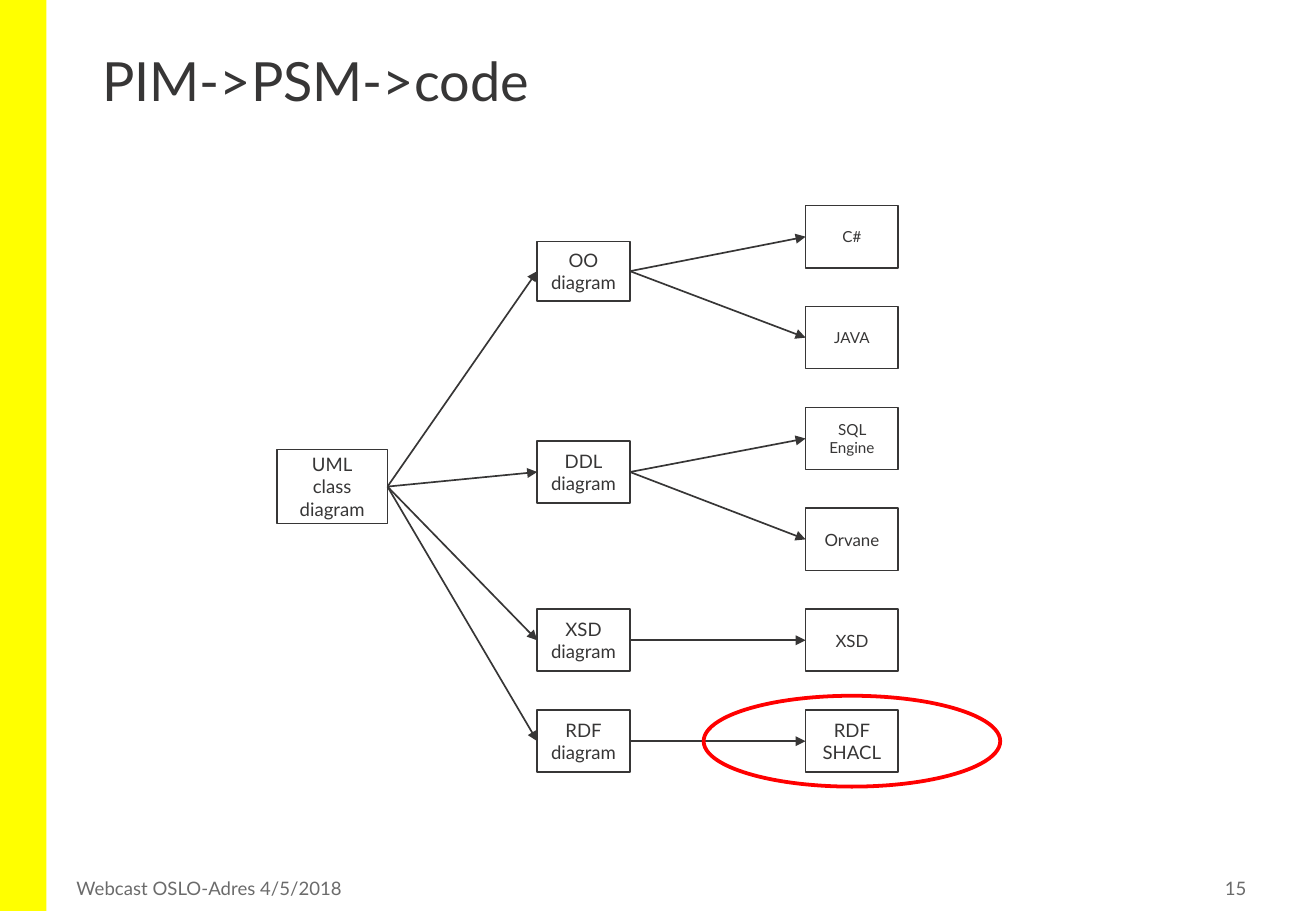
from dataclasses import dataclass

from lxml.etree import SubElement
from pptx import Presentation
from pptx.dml.color import RGBColor
from pptx.enum.shapes import MSO_CONNECTOR as Line, MSO_SHAPE as Shape
from pptx.enum.text import MSO_ANCHOR as Anchor, MSO_AUTO_SIZE as AutoSize, PP_ALIGN as Align
from pptx.oxml.ns import qn
from pptx.util import Cm, Pt


@dataclass(frozen=True)
class Theme:
    font: str = "Lato"
    ink: RGBColor = RGBColor(0x37, 0x36, 0x36)
    muted: RGBColor = RGBColor(0x6B, 0x6B, 0x6B)
    band: RGBColor = RGBColor(0xFF, 0xFF, 0x00)
    accent: RGBColor = RGBColor(0xFF, 0x00, 0x00)
    title: float = 32
    body: float = 11
    medium: float = 10
    small: float = 9
    outline: float = 1
    ring: float = 2.25


@dataclass(frozen=True)
class Node:
    text: str
    left: float
    top: float
    size: float
    width: float = 1.94
    height: float = 1.3
    parent: str = ""


THEME = Theme()
MODEL_X, CODE_X = 11.23, 16.84
TOP, PITCH = 4.3, 2.11


def row(index: int) -> float:
    return TOP + index * PITCH


# Diagram: nodes by key, each with its parent
NODES = {
    "uml": Node("UML\nclass diagram", 5.79, 9.4, THEME.body, 2.31, 1.55),
    "oo": Node("OO\ndiagram", MODEL_X, 5.05, THEME.body, height=1.24, parent="uml"),
    "ddl": Node("DDL\ndiagram", MODEL_X, 9.22, THEME.body, parent="uml"),
    "xsd": Node("XSD\ndiagram", MODEL_X, row(4), THEME.body, parent="uml"),
    "rdf": Node("RDF\ndiagram", MODEL_X, row(5), THEME.body, parent="uml"),
    "csharp": Node("C#", CODE_X, row(0), THEME.small, parent="oo"),
    "java": Node("JAVA", CODE_X, row(1), THEME.small, parent="oo"),
    "sql": Node("SQL Engine", CODE_X, row(2), THEME.small, parent="ddl"),
    "database": Node("Orvane", CODE_X, row(3), THEME.medium, parent="ddl"),
    "schema": Node("XSD", CODE_X, row(4), THEME.medium, parent="xsd"),
    "shacl": Node("RDF\nSHACL", CODE_X, row(5), THEME.body, parent="rdf"),
}


def write(tf, text: str, size: float, color: RGBColor, align: Align, anchor: Anchor) -> None:
    tf.text = text
    tf.word_wrap = True
    tf.auto_size = AutoSize.NONE
    tf.vertical_anchor = anchor
    for p in tf.paragraphs:
        p.alignment = align
        p.font.name = THEME.font
        p.font.size = Pt(size)
        p.font.color.rgb = color


def add_plain(s, kind: Shape, left: float, top: float, width: float, height: float):
    sp = s.shapes.add_shape(kind, Cm(left), Cm(top), Cm(width), Cm(height))
    sp.shadow.inherit = False
    sp.fill.background()
    return sp


def add_node(s, node: Node):
    sp = add_plain(s, Shape.RECTANGLE, node.left, node.top, node.width, node.height)
    sp.line.color.rgb = THEME.ink
    sp.line.width = Pt(THEME.outline)
    write(sp.text_frame, node.text, node.size, THEME.ink, Align.CENTER, Anchor.MIDDLE)
    return sp


def add_arrow(s, start, end) -> None:
    c = s.shapes.add_connector(Line.STRAIGHT, 0, 0, 0, 0)
    c.begin_connect(start, 3)
    c.end_connect(end, 1)
    c.line.color.rgb = THEME.ink
    c.line.width = Pt(THEME.outline)
    SubElement(c.line._get_or_add_ln(), qn("a:tailEnd"), type="triangle")
    SubElement(c._element.spPr, qn("a:effectLst"))


def add_label(s, text: str, left: float, top: float, width: float, height: float,
              align: Align, inset: float) -> None:
    tf = s.shapes.add_textbox(Cm(left), Cm(top), Cm(width), Cm(height)).text_frame
    tf.margin_left = tf.margin_right = Cm(inset)
    tf.margin_top = tf.margin_bottom = Cm(0.13)
    write(tf, text, THEME.body, THEME.muted, align, Anchor.MIDDLE)


def main() -> None:
    prs = Presentation()
    prs.slide_width, prs.slide_height = Cm(27.51), Cm(19.05)
    s = prs.slides.add_slide(prs.slide_layouts[5])

    # Side band
    band = add_plain(s, Shape.RECTANGLE, 0, 0, 0.97, 19.05)
    band.fill.solid()
    band.fill.fore_color.rgb = THEME.band
    band.line.fill.background()

    # Title
    title = s.shapes.title
    title.left, title.top, title.width, title.height = Cm(1.88), Cm(1.02), Cm(23.72), Cm(2.74)
    write(title.text_frame, "PIM->PSM->code", THEME.title, THEME.ink, Align.LEFT, Anchor.TOP)
    title.text_frame.paragraphs[0].line_spacing = 0.9

    # Nodes and arrows
    boxes = {key: add_node(s, node) for key, node in NODES.items()}
    for key, node in NODES.items():
        if node.parent:
            add_arrow(s, boxes[node.parent], boxes[key])

    # Highlight around the last code box
    target, width, height = NODES["shacl"], 6.2, 1.9
    ring = add_plain(s, Shape.OVAL, target.left + (target.width - width) / 2,
                     target.top + (target.height - height) / 2, width, height)
    ring.line.color.rgb = THEME.accent
    ring.line.width = Pt(THEME.ring)

    # Footer
    add_label(s, "Webcast OSLO-Adres 4/5/2018", 1.35, 18.34, 16.89, 0.48, Align.LEFT, 0.25)
    add_label(s, "15", 24.13, 18.21, 2.06, 0.74, Align.RIGHT, 0.13)

    prs.save("out.pptx")


if __name__ == "__main__":
    main()
